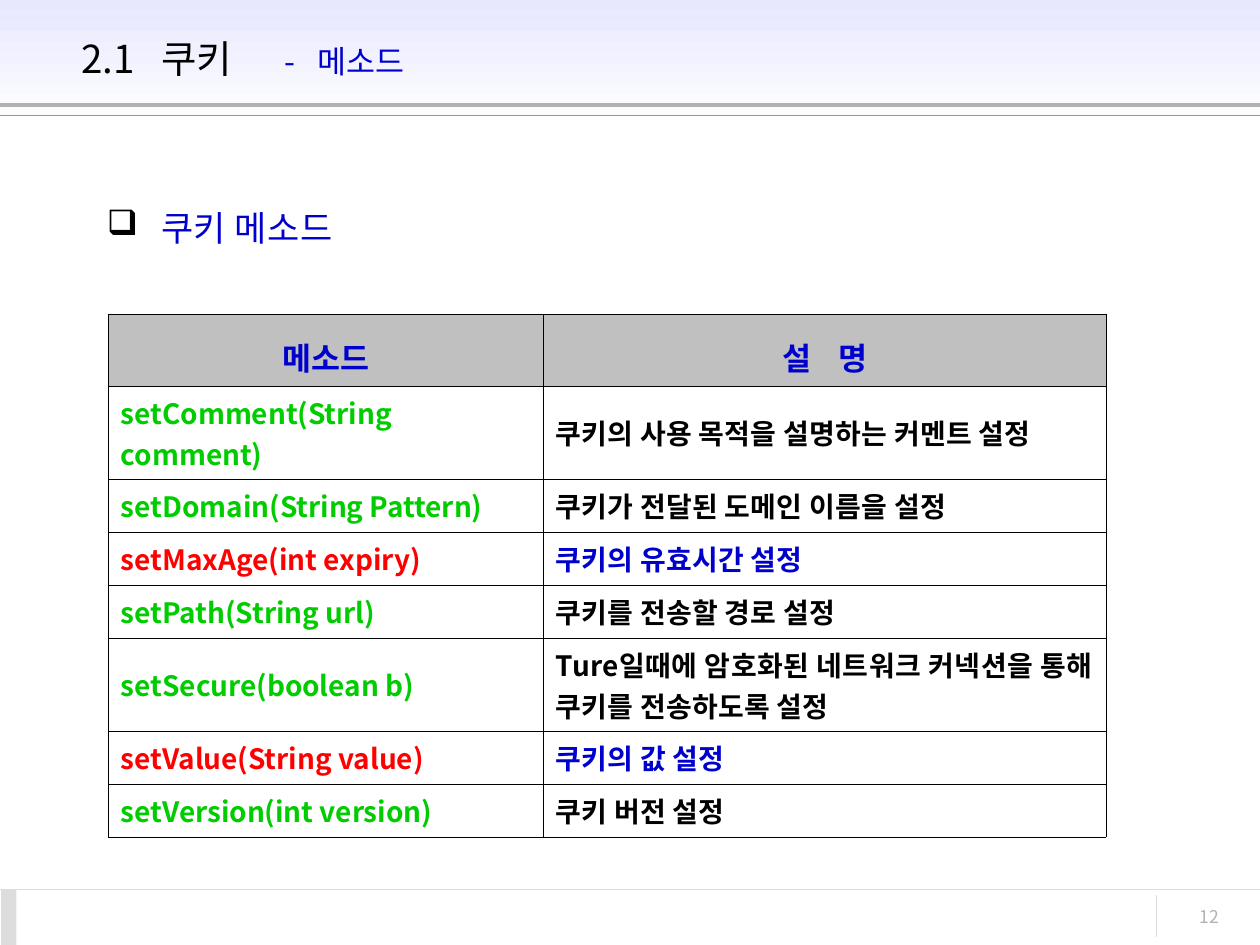
from lxml import etree
from pptx import Presentation
from pptx.dml.color import RGBColor
from pptx.enum.shapes import MSO_CONNECTOR, MSO_SHAPE
from pptx.enum.text import MSO_ANCHOR, PP_ALIGN
from pptx.oxml.ns import qn
from pptx.util import Inches, Pt

LINE, RECT = MSO_CONNECTOR.STRAIGHT, MSO_SHAPE.RECTANGLE
MID, TOP = MSO_ANCHOR.MIDDLE, MSO_ANCHOR.TOP
LEFT, RIGHT = PP_ALIGN.LEFT, PP_ALIGN.RIGHT
CENTER, JUST = PP_ALIGN.CENTER, PP_ALIGN.JUSTIFY
INK = {"black": "000000", "blue": "0000CC", "green": "00CC00", "red": "FF0000",
       "head": "C0C0C0", "pale": "DDDDDD", "gray": "B2B2B2", "dark": "969696",
       "sky": "E7E7FF", "white": "FFFFFF"}
FONT, MARK = "Noto Sans CJK KR", "OpenSymbol"
COLS, ROWS = 100, 75


def rgb(name):
    return RGBColor.from_string(INK[name])


def sub(node, tag, **attrs):
    return etree.SubElement(node, qn(tag), {k: str(v) for k, v in attrs.items()})


class Deck:
    """Draws styled elements on one slide, on a grid of COLS by ROWS."""

    def __init__(self):
        self.prs = Presentation()
        self.prs.slide_width, self.prs.slide_height = Inches(10), Inches(7.5)
        self.slide = self.prs.slides.add_slide(self.prs.slide_layouts[6])
        self.shapes = self.slide.shapes

    def x(self, col):
        return round(self.prs.slide_width * col / COLS)

    def y(self, row):
        return round(self.prs.slide_height * row / ROWS)

    def area(self, box):
        col, row, wide, high = box
        return self.x(col), self.y(row), self.x(wide), self.y(high)

    def rect(self, box, ink, fade=None):
        shape = self.shapes.add_shape(RECT, *self.area(box))
        shape.shadow.inherit = False
        shape.line.fill.background()
        if fade:
            shape.fill.gradient()
            shape.fill.gradient_angle = 270
            for stop, name, pos in zip(shape.fill.gradient_stops, (ink, fade), (0, 1)):
                stop.color.rgb, stop.position = rgb(name), pos
        else:
            shape.fill.solid()
            shape.fill.fore_color.rgb = rgb(ink)

    def rule(self, start, end, ink, width=0.75):
        (left, top), (right, low) = start, end
        line = self.shapes.add_connector(
            LINE, self.x(left), self.y(top), self.x(right), self.y(low))
        line.line.color.rgb, line.line.width = rgb(ink), Pt(width)
        sub(line._element.spPr, "a:effectLst")

    def run(self, para, text, size, ink, bold=False, gap=0):
        run = para.add_run()
        run.text = text
        font = run.font
        font.size, font.bold, font.name = Pt(size), bold, FONT
        font.color.rgb = rgb(ink)
        props = run._r.get_or_add_rPr()
        sub(props, "a:ea", typeface=FONT)
        if gap:
            props.set("spc", str(round(gap * 100)))

    def text(self, box, runs, align=LEFT, anchor=TOP, bullet=None, hang=0, tabs=()):
        frame = self.shapes.add_textbox(*self.area(box)).text_frame
        frame.word_wrap, frame.vertical_anchor = True, anchor
        para = frame.paragraphs[0]
        para.alignment = align
        props = para._p.get_or_add_pPr()
        if bullet:
            props.set("marL", str(self.x(hang)))
            props.set("indent", str(-self.x(hang)))
            sub(sub(props, "a:buClr"), "a:srgbClr", val=INK["black"])
            sub(props, "a:buFont", typeface=MARK)
            sub(props, "a:buChar", char=bullet)
        if tabs:
            stops = sub(props, "a:tabLst")
            for tab in tabs:
                sub(stops, "a:tab", pos=self.x(tab), algn="l")
        for run in runs:
            self.run(para, *run)

    def cell(self, cell, runs, align, fill=None, space=None):
        cell.vertical_anchor = MID
        props = cell._tc.get_or_add_tcPr()
        for side in ("a:lnL", "a:lnR", "a:lnT", "a:lnB"):
            edge = sub(props, side, w=Pt(0.11))
            sub(sub(edge, "a:solidFill"), "a:srgbClr", val=INK["black"])
        if fill:
            cell.fill.solid()
            cell.fill.fore_color.rgb = rgb(fill)
        else:
            cell.fill.background()
        para = cell.text_frame.paragraphs[0]
        para.alignment, para.line_spacing = align, space
        for run in runs:
            self.run(para, *run)

    def table(self, spot, wides, highs, head, body):
        box = (*spot, sum(wides), sum(highs))
        grid = self.shapes.add_table(len(highs), len(wides), *self.area(box)).table
        grid.first_row = grid.horz_banding = False
        for col, wide in zip(grid.columns, wides):
            col.width = self.x(wide)
        for row, high in zip(grid.rows, highs):
            row.height = self.y(high)
        for c, runs in enumerate(head):
            self.cell(grid.cell(0, c), runs, CENTER, "head", 1.3)
        for r, (call, note, key) in enumerate(body, 1):
            inks = ("red", "blue") if key else ("green", "black")
            for c, (words, ink, gap) in enumerate(zip((call, note), inks, (0, 0.2))):
                self.cell(grid.cell(r, c), [(words, 16, ink, True, gap)], JUST)


def main():
    deck = Deck()
    deck.rect((0, 0, COLS, 10), "sky", "white")
    deck.rule((0, 8.35), (COLS, 8.35), "gray", 2.25)
    deck.rule((0, 9.15), (COLS, 9.15), "dark")
    deck.rule((0, 70.6), (COLS, 70.6), "pale")
    deck.rect((0.1, 70.6, 1.2, 4.4), "pale")
    deck.rule((91.8, 71), (91.8, 74.4), "pale")
    deck.text((88.55, 71.4, 9.2, 3.3), [("12", 10, "gray")], RIGHT)
    deck.text((7.5, 15.9, 50.4, 5.5), [("쿠키 메소드", 20, "blue", False, 0.3)],
              bullet="❑", hang=4.3)
    head = [[("메소드", 18, "blue", True)],
            [("설", 18, "blue", True), (" ", 18, "blue", True, 11.4),
             ("명", 18, "blue", True)]]
    body = [
        ("setComment(String comment)", "쿠키의 사용 목적을 설명하는 커멘트 설정", False),
        ("setDomain(String Pattern)", "쿠키가 전달된 도메인 이름을 설정", False),
        ("setMaxAge(int expiry)", "쿠키의 유효시간 설정", True),
        ("setPath(String url)", "쿠키를 전송할 경로 설정", False),
        ("setSecure(boolean b)",
         "Ture일때에 암호화된 네트워크 커넥션을 통해 쿠키를 전송하도록 설정", False),
        ("setValue(String value)", "쿠키의 값 설정", True),
        ("setVersion(int version)", "쿠키 버전 설정", False),
    ]
    one, two = 4.21, 7.38
    deck.table((8.6, 24.95), (34.5, 44.7),
               (5.7, two, one, one, one, two, one, one), head, body)
    deck.text((5.5, 1.2, 86.3, 6.8),
              [("2.1\t쿠키\t", 22, "black"), ("-\t메소드", 18, "blue")],
              anchor=MID, tabs=(6.3, 16.1, 18.7))
    deck.prs.save("out.pptx")


if __name__ == "__main__":
    main()
